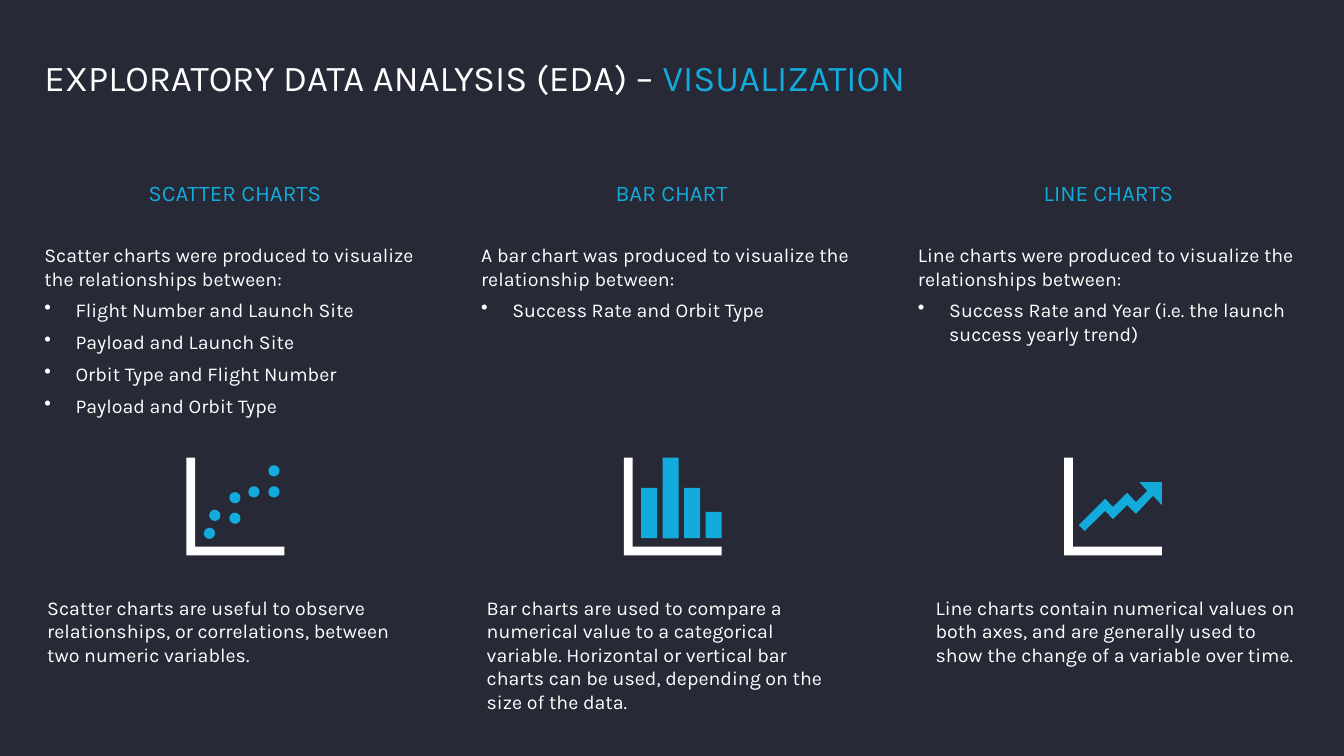
from lxml import etree
from pptx import Presentation
from pptx.dml.color import RGBColor
from pptx.enum.shapes import MSO_SHAPE
from pptx.enum.text import MSO_ANCHOR, PP_ALIGN
from pptx.oxml.ns import qn
from pptx.util import Inches, Pt

NIGHT = RGBColor(0x27, 0x29, 0x36)
WHITE = RGBColor(0xFF, 0xFF, 0xFF)
CYAN = RGBColor(0x12, 0xAB, 0xDB)
OVAL, RECTANGLE = MSO_SHAPE.OVAL, MSO_SHAPE.RECTANGLE
TOP, MIDDLE, BOTTOM = MSO_ANCHOR.TOP, MSO_ANCHOR.MIDDLE, MSO_ANCHOR.BOTTOM
LEFT, CENTER = PP_ALIGN.LEFT, PP_ALIGN.CENTER

# The slide is a grid of 40 columns by 30 rows; each topic starts 13 columns on.
COLUMNS, ROWS = 40, 30
MARGIN, TOPIC_STEP, TOPIC_WIDTH = 1.32, 13, 11.34
ICON_ROW, ICON_SIDE = 18.16, 0.97

# Icon drawings use percentages of the icon's side.
AXES = [(0, 0), (0, 100), (100, 100), (100, 91), (9, 91), (9, 0)]
DOT_SIZE = 11.5
DOT_CENTERS = [(23.5, 77.5), (29, 59), (49.5, 62), (49.5, 41),
               (69, 35), (89.5, 35), (89.5, 13.5)]
BAR_TOPS = [31, 0, 31, 55.5]
BAR_START, BAR_STEP, BAR_WIDTH, BAR_BASE = 17.5, 22, 16.5, 82.5
TREND_ARROW = [(77, 25), (85, 34), (73.5, 45.5), (64.5, 36), (50, 50.5),
               (42, 42), (15, 69), (21, 75), (42, 54.5), (50, 63),
               (64.5, 48.5), (73.5, 57.5), (91, 39), (100, 48.5), (100, 25)]


class Deck:
    def __init__(self):
        self.presentation = Presentation()
        self.presentation.slide_width = Inches(13.33)
        self.presentation.slide_height = Inches(7.5)
        self.column = self.presentation.slide_width / COLUMNS
        self.row = self.presentation.slide_height / ROWS
        self.slide = self.presentation.slides.add_slide(
            self.presentation.slide_layouts[6])
        background = self.slide.background.fill
        background.solid()
        background.fore_color.rgb = NIGHT

    def text(self, column, row, width, height, paragraphs, size=14,
             color=WHITE, anchor=TOP, align=LEFT, inset=(0, 0), after=6):
        box = self.slide.shapes.add_textbox(
            int(column * self.column), int(row * self.row),
            int(width * self.column), int(height * self.row))
        frame = box.text_frame
        frame.word_wrap = True
        frame.vertical_anchor = anchor
        frame.margin_left = frame.margin_right = Inches(inset[0])
        frame.margin_top = frame.margin_bottom = Inches(inset[1])
        frame.text = "\n".join(paragraphs)
        for paragraph in frame.paragraphs:
            paragraph.alignment = align
            paragraph.space_after = Pt(after)
            for run in paragraph.runs:
                self.style(run, size, color)
        return frame

    def style(self, run, size, color):
        run.font.name = "Karla"
        run.font.size = Pt(size)
        run.font.color.rgb = color

    def title(self, lead, accent):
        frame = self.text(MARGIN, 0.84, 35.91, 3.12, [lead], 26,
                          anchor=BOTTOM, after=0)
        paragraph = frame.paragraphs[0]
        paragraph.line_spacing = 0.9
        run = paragraph.add_run()
        run.text = accent
        self.style(run, 26, CYAN)

    def heading(self, column, words):
        self.text(column, 5.8, TOPIC_WIDTH, 3.68, [words], 16, CYAN,
                  MIDDLE, CENTER)

    def summary(self, column, intro, relationships):
        frame = self.text(column, 9.64, TOPIC_WIDTH, 17.84,
                          [intro, *relationships])
        for paragraph in frame.paragraphs[1:]:
            properties = paragraph._p.get_or_add_pPr()
            properties.set("marL", str(Inches(0.31)))
            properties.set("indent", str(-Inches(0.31)))
            bullet = etree.SubElement(properties, qn("a:buChar"))
            bullet.set("char", "•")

    def caption(self, column, height, words):
        self.text(column, 23.44, TOPIC_WIDTH, height, [words],
                  inset=(0.1, 0.05), after=0)

    def icon_point(self, column, x, y):
        """Turn percentages of an icon's side into slide lengths."""
        unit = Inches(ICON_SIDE) / 100
        return (int(column * self.column + x * unit),
                int(ICON_ROW * self.row + y * unit))

    def paint(self, shape, color):
        shape.shadow.inherit = False
        shape.fill.solid()
        shape.fill.fore_color.rgb = color
        shape.line.fill.background()

    def icon_outline(self, column, points, color):
        corners = [self.icon_point(column, x, y) for x, y in points]
        builder = self.slide.shapes.build_freeform(*corners[0])
        builder.add_line_segments(corners[1:], close=True)
        self.paint(builder.convert_to_shape(), color)

    def icon_mark(self, column, preset, x, y, width, height):
        left, top = self.icon_point(column, x, y)
        right, bottom = self.icon_point(column, x + width, y + height)
        mark = self.slide.shapes.add_shape(
            preset, left, top, right - left, bottom - top)
        self.paint(mark, CYAN)

    def scatter(self, column):
        for x, y in DOT_CENTERS:
            self.icon_mark(column, OVAL, x - DOT_SIZE / 2, y - DOT_SIZE / 2,
                           DOT_SIZE, DOT_SIZE)

    def bars(self, column):
        for index, top in enumerate(BAR_TOPS):
            self.icon_mark(column, RECTANGLE, BAR_START + index * BAR_STEP,
                           top, BAR_WIDTH, BAR_BASE - top)

    def trend(self, column):
        self.icon_outline(column, TREND_ARROW, CYAN)


def main():
    deck = Deck()
    deck.title("EXPLORATORY DATA ANALYSIS (EDA) – ", "VISUALIZATION")
    # heading, intro, relationships, icon and its shift,
    # caption, its shift and its height
    topics = [
        ("SCATTER CHARTS",
         "Scatter charts were produced to visualize the relationships between:",
         ["Flight Number and Launch Site", "Payload and Launch Site",
          "Orbit Type and Flight Number", "Payload and Orbit Type"],
         deck.scatter, 4.23,
         "Scatter charts are useful to observe relationships, or "
         "correlations, between two numeric variables.", -0.21, 3.24),
        ("BAR CHART",
         "A bar chart was produced to visualize the relationship between:",
         ["Success Rate and Orbit Type"],
         deck.bars, 4.25,
         "Bar charts are used to compare a numerical value to a categorical "
         "variable. Horizontal or vertical bar charts can be used, depending "
         "on the size of the data.", -0.13, 4.16),
        ("LINE CHARTS",
         "Line charts were produced to visualize the relationships between:",
         ["Success Rate and Year (i.e. the launch success yearly trend)"],
         deck.trend, 4.35,
         "Line charts contain numerical values on both axes, and are "
         "generally used to show the change of a variable over time.",
         0.23, 3.24),
    ]
    for index, topic in enumerate(topics):
        (heading, intro, relationships, draw_icon, icon_shift,
         caption, caption_shift, caption_height) = topic
        column = MARGIN + index * TOPIC_STEP
        deck.heading(column, heading)
        deck.summary(column, intro, relationships)
        deck.icon_outline(column + icon_shift, AXES, WHITE)
        draw_icon(column + icon_shift)
        deck.caption(column + caption_shift, caption_height, caption)
    deck.presentation.save("out.pptx")


if __name__ == "__main__":
    main()
